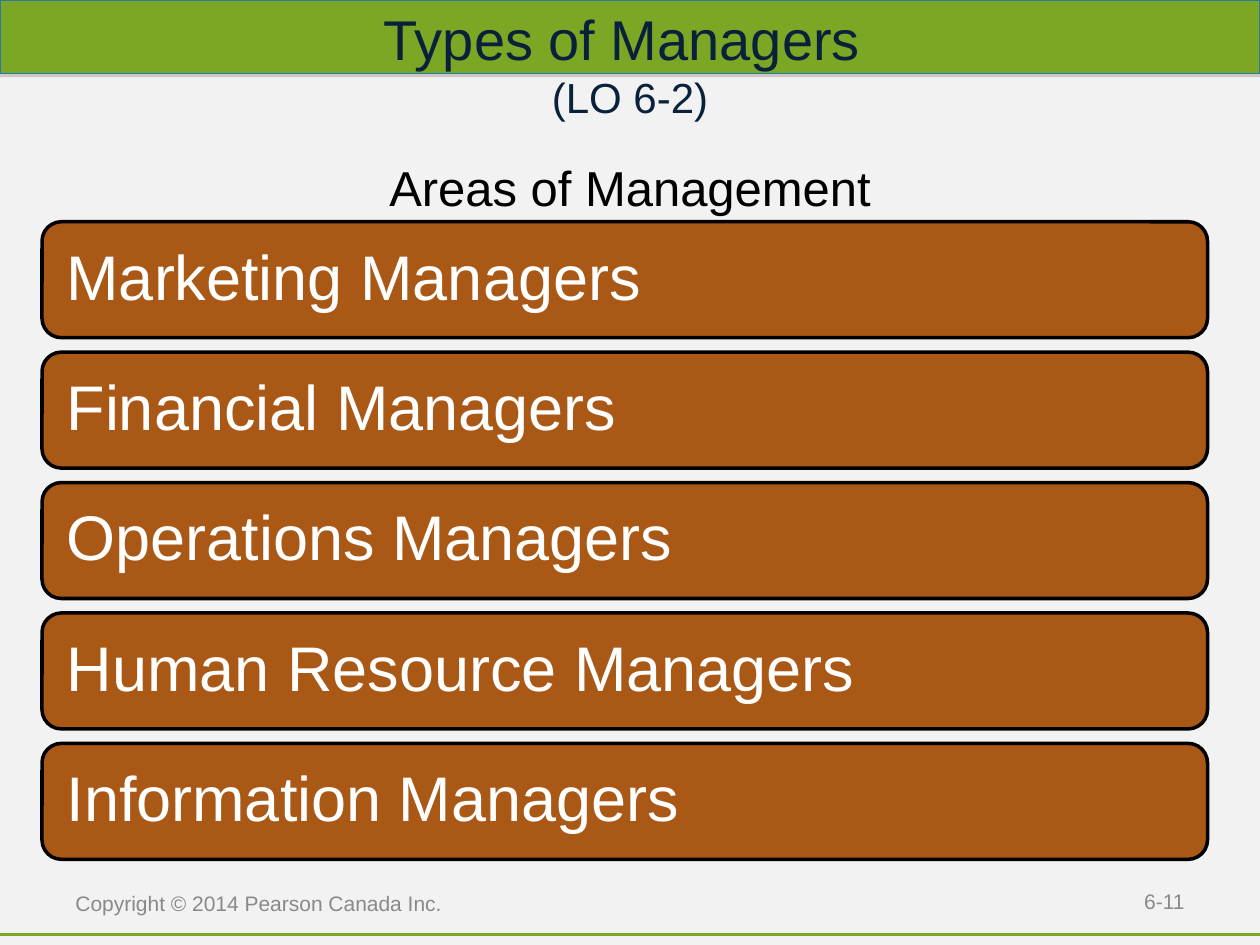
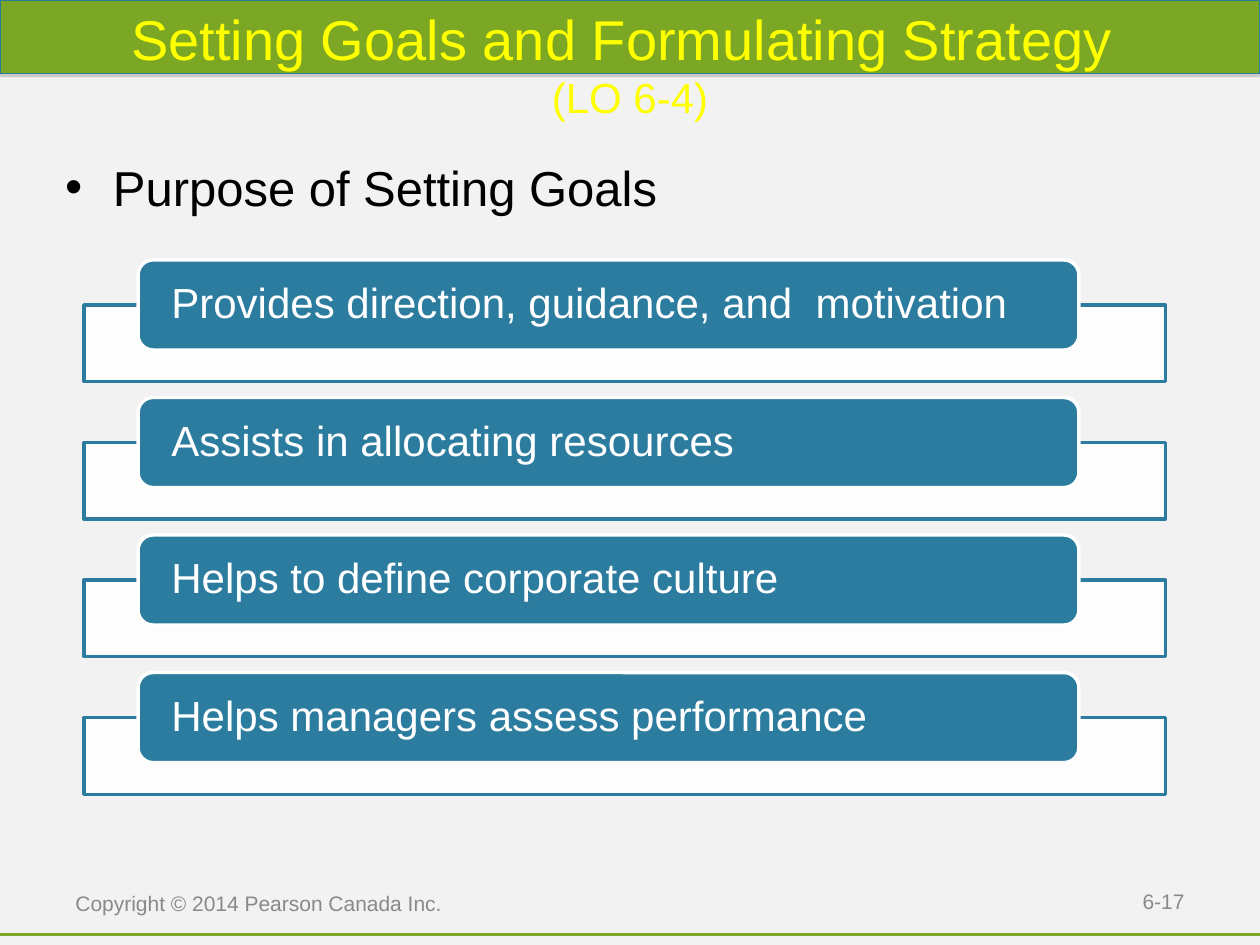
from dataclasses import dataclass

from lxml.etree import SubElement
from pptx import Presentation
from pptx.dml.color import RGBColor
from pptx.enum.shapes import MSO_CONNECTOR, MSO_SHAPE
from pptx.enum.text import MSO_ANCHOR, MSO_AUTO_SIZE, PP_ALIGN
from pptx.oxml.ns import qn
from pptx.util import Inches, Pt

WIDTH, HEIGHT = Inches(10), Inches(7.5)
COLS, ROWS = 120, 90


@dataclass(frozen=True)
class Theme:
    """Colours, type sizes and line widths shared by the slides."""
    font: str = "Arial"
    page: str = "F2F2F2"
    green: str = "7CA724"
    band_edge: str = "287A9E"
    shade: str = "808080"
    navy: str = "09213B"
    yellow: str = "FFFF00"
    black: str = "000000"
    white: str = "FFFFFF"
    grey: str = "898989"
    brown: str = "AA5816"
    blue: str = "2C7C9F"
    title: int = 32
    subtitle: int = 24
    heading: int = 28
    bar: int = 36
    goal: int = 24
    footer: int = 12
    line: float = 2
    hairline: float = 0.75


@dataclass(frozen=True)
class Box:
    """A rectangle measured in grid columns and rows."""
    x: float
    y: float
    w: float
    h: float

    def place(self):
        """Return left, top, width and height as slide lengths."""
        col, row = WIDTH / COLS, HEIGHT / ROWS
        return [round(v) for v in (self.x * col, self.y * row, self.w * col, self.h * row)]

    def share(self, x, y, w, h):
        """Return the box at the given shares of this one."""
        return Box(self.x + x * self.w, self.y + y * self.h, w * self.w, h * self.h)

    def stack(self, n, gap):
        """Split the box into n equal boxes, one above the other."""
        h = (self.h - gap * (n - 1)) / n
        return [Box(self.x, self.y + i * (h + gap), self.w, h) for i in range(n)]


T = Theme()
BAND = Box(0, 0, COLS, 7)
RULE = Box(0, 89, COLS, 0)
TITLE = Box(0, 0, COLS, 12)
HEADING = Box(5, 14.4, 110, 7)
COPYRIGHT = Box(6, 82, 39, 8)
NUMBER = Box(86, 83.4, 28, 4.8)
BARS = Box(4, 21.12, 111, 60.72)
GOALS = Box(8, 24.75, 103, 50.9)


def rgb(code):
    """Return the colour for a hex code."""
    return RGBColor.from_string(code)


def set_all(obj, values):
    """Set each attribute named in a dict."""
    for name, value in values.items():
        setattr(obj, name, value)


def style_font(r, size, color):
    """Give a run its face, size and colour."""
    set_all(r.font, {"name": T.font, "size": Pt(size)})
    r.font.color.rgb = rgb(color)


def style_frame(tf, x_inset=0.1, y_inset=0.05, anchor=MSO_ANCHOR.MIDDLE):
    """Set wrapping, insets in inches and anchor of a text frame."""
    set_all(tf, {"word_wrap": True, "auto_size": MSO_AUTO_SIZE.NONE,
                 "vertical_anchor": anchor,
                 "margin_left": Inches(x_inset), "margin_right": Inches(x_inset),
                 "margin_top": Inches(y_inset), "margin_bottom": Inches(y_inset)})


def write(tf, text, size, color, align=PP_ALIGN.LEFT, spacing=1.0):
    """Write one formatted paragraph."""
    p = tf.paragraphs[0]
    set_all(p, {"alignment": align, "line_spacing": spacing, "space_before": Pt(0)})
    r = p.add_run()
    r.text = text
    style_font(r, size, color)
    return p


def move(sp, box):
    """Move a shape into a box."""
    set_all(sp, dict(zip(("left", "top", "width", "height"), box.place())))


def add_block(s, kind, box, fill, line, width=T.line):
    """Add a flat filled and outlined shape."""
    sp = s.shapes.add_shape(kind, *box.place())
    sp.shadow.inherit = False
    sp.fill.solid()
    sp.fill.fore_color.rgb = rgb(fill)
    sp.line.color.rgb = rgb(line)
    sp.line.width = Pt(width)
    return sp


def add_label(s, box, text, align):
    """Add a small grey footer text."""
    tf = s.shapes.add_textbox(*box.place()).text_frame
    style_frame(tf)
    write(tf, text, T.footer, T.grey, align)


def add_pill(s, box, text, fill, line, size, inset):
    """Add a rounded bar with left-aligned white text."""
    sp = add_block(s, MSO_SHAPE.ROUNDED_RECTANGLE, box, fill, line)
    style_frame(sp.text_frame, inset, 0.03)
    write(sp.text_frame, text, size, T.white, spacing=0.9)


def dress_master(prs, s):
    """Give the master its background, green band and bottom rule."""
    master = prs.slide_master
    master.background.fill.solid()
    master.background.fill.fore_color.rgb = rgb(T.page)

    band = add_block(s, MSO_SHAPE.RECTANGLE, BAND, T.green, T.band_edge, T.hairline)
    effects = band._element.spPr.find(qn("a:effectLst"))
    shadow = SubElement(effects, qn("a:outerShdw"), blurRad="0",
                        dist=str(Pt(1.8)), dir="5400000", rotWithShape="0")
    color = SubElement(shadow, qn("a:srgbClr"), val=T.shade)
    SubElement(color, qn("a:alpha"), val="35000")

    x, y, w, h = RULE.place()
    rule = s.shapes.add_connector(MSO_CONNECTOR.STRAIGHT, x, y, x + w, y + h)
    rule.line.color.rgb = rgb(T.green)
    rule.line.width = Pt(T.line)
    SubElement(rule._element.spPr, qn("a:effectLst"))

    for i, sp in enumerate((band, rule)):
        sp._element.xpath(".//p:cNvPr")[0].set("id", str(100 + i))
        master.shapes._spTree.insert(2, sp._element)


def add_title(s, box, text, objective, color):
    """Fill the title placeholder with a title and its objective."""
    sp = s.shapes.title
    move(sp, box)
    style_frame(sp.text_frame, 0.25, 0.25)
    p = write(sp.text_frame, text + " ", T.title, color, PP_ALIGN.CENTER)
    p.add_line_break()
    SubElement(p._p.find(qn("a:br")), qn("a:rPr"), sz=str(T.title * 100))
    r = p.add_run()
    r.text = objective
    style_font(r, T.subtitle, color)


def add_heading(s, box, text, bullet):
    """Fill the body placeholder with a bulleted or centred heading."""
    sp = s.placeholders[1]
    move(sp, box)
    style_frame(sp.text_frame, anchor=MSO_ANCHOR.TOP)
    align = PP_ALIGN.LEFT if bullet else PP_ALIGN.CENTER
    p = write(sp.text_frame, text, T.heading, T.black, align)
    pPr = p._p.get_or_add_pPr()
    indents = {"marL": Inches(0.38), "indent": -Inches(0.38)}
    for name, value in indents.items():
        pPr.set(name, str(value))
    if bullet:
        SubElement(pPr, qn("a:buChar"), char="•")
    else:
        SubElement(pPr, qn("a:buNone"))


def add_bars(s, box, names):
    """Stack one wide bar for each kind of manager."""
    for name, bar in zip(names, box.stack(len(names), 1.38)):
        add_pill(s, bar, name, T.brown, T.black, T.bar, 0.15)


def add_goals(s, box, goals):
    """Stack outlined frames, each with a goal on its upper edge."""
    for goal, row in zip(goals, box.stack(len(goals), 1.5)):
        frame = add_block(s, MSO_SHAPE.RECTANGLE, row.share(0, 0.37, 1, 0.63), T.white, T.blue)
        color = frame._element.spPr.find(qn("a:solidFill"))[0]
        SubElement(color, qn("a:alpha"), val="90000")
        add_pill(s, row.share(0.05, 0, 0.87, 0.74), goal, T.blue, T.white, T.goal, 0.23)


def add_page(prs, title, objective, color, heading, bullet, number):
    """Add a slide with its title, heading and footer."""
    s = prs.slides.add_slide(prs.slide_layouts[1])
    add_title(s, TITLE, title, objective, color)
    add_heading(s, HEADING, heading, bullet)
    add_label(s, NUMBER, number, PP_ALIGN.RIGHT)
    add_label(s, COPYRIGHT, "Copyright © 2014 Pearson Canada Inc.", PP_ALIGN.LEFT)
    return s


def main():
    """Build and save the two slides."""
    prs = Presentation()
    set_all(prs, {"slide_width": WIDTH, "slide_height": HEIGHT})

    managers = add_page(prs, "Types of Managers", "(LO 6-2)", T.navy,
                        "Areas of Management", False, "6-11")
    dress_master(prs, managers)
    add_bars(managers, BARS, ["Marketing Managers", "Financial Managers",
                              "Operations Managers", "Human Resource Managers",
                              "Information Managers"])

    strategy = add_page(prs, "Setting Goals and Formulating Strategy", "(LO 6-4)",
                        T.yellow, "Purpose of Setting Goals", True, "6-17")
    add_goals(strategy, GOALS, ["Provides direction, guidance, and  motivation",
                                "Assists in allocating resources",
                                "Helps to define corporate culture",
                                "Helps managers assess performance"])
    prs.save("out.pptx")


if __name__ == "__main__":
    main()
